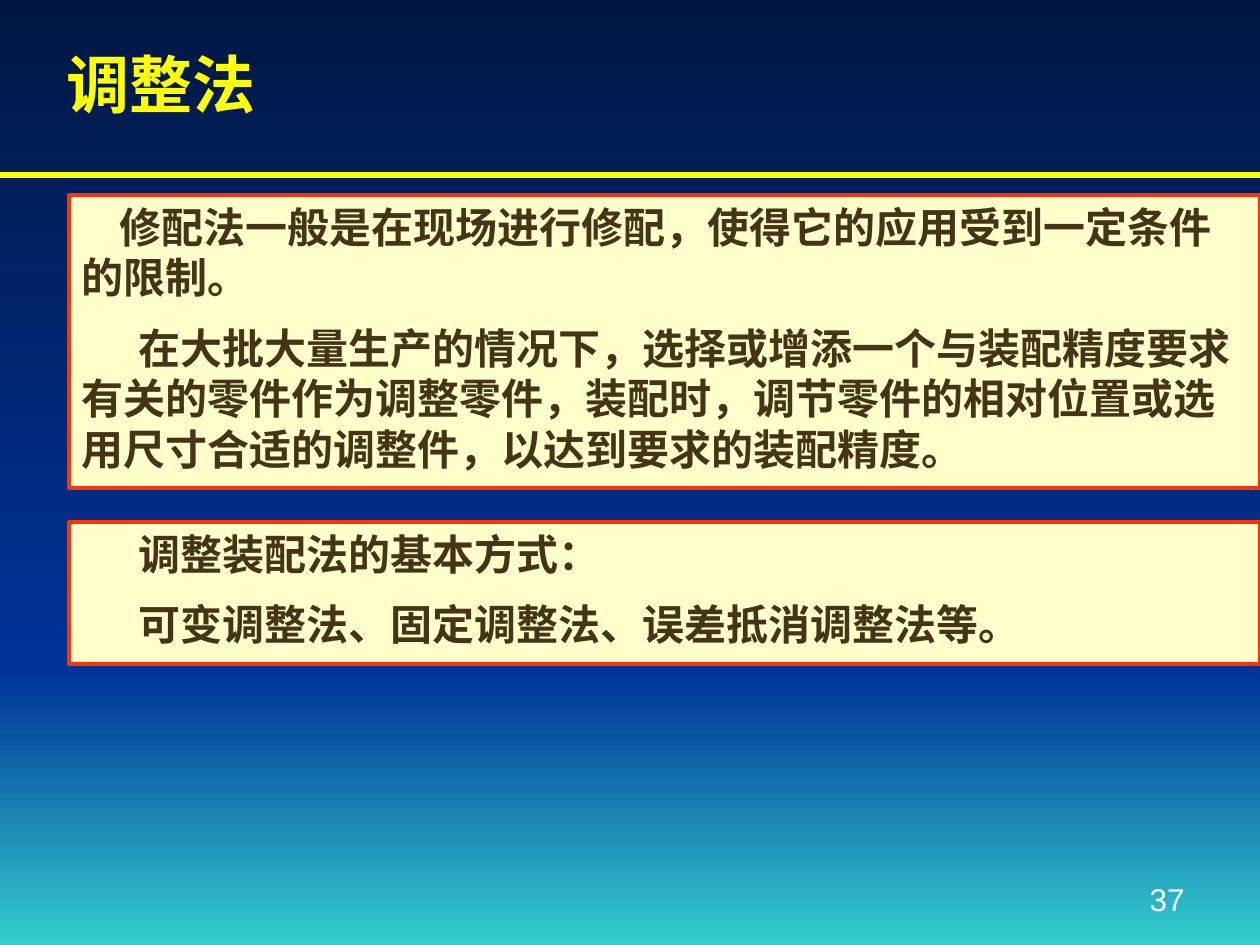
from pptx import Presentation
from pptx import util as u
from pptx.dml import color
from pptx.enum import shapes, text
from pptx.oxml import xmlchemy

COLOURS = {
    "night": "001744", "blue": "003399", "teal": "33CCCC",
    "yellow": "FFFF00", "white": "FFFFFF",
    "cream": "FFFFCC", "red": "FF3300", "brown": "463416",
}
PAGE_WIDTH, PAGE_HEIGHT = 720, 540
HORIZON = 384


def rgb(name):
    """Return the named colour."""
    return color.RGBColor.from_string(COLOURS[name])


def points(values):
    """Turn plain numbers into lengths."""
    return [u.Pt(value) for value in values]


def add_rectangle(page, bounds):
    """Add a rectangle without a shadow."""
    box = page.shapes.add_shape(shapes.MSO_SHAPE.RECTANGLE, *points(bounds))
    box.shadow.inherit = False
    return box


def write_paragraph(para, words, size, colour, bold=False, indent=0, before=0,
                    align=text.PP_ALIGN.LEFT):
    """Write one formatted paragraph."""
    para.alignment = align
    para.space_before = u.Pt(before)
    if indent:
        properties = para._p.get_or_add_pPr()
        properties.set("marL", "0")
        properties.set("indent", str(u.Pt(indent)))
    span = para.add_run()
    span.text = words
    span.font.name = "Arial"
    span.font.size = u.Pt(size)
    span.font.bold = bold
    span.font.color.rgb = rgb(colour)


def add_label(page, bounds, words, anchor, **style):
    """Add a one-paragraph text box."""
    frame = page.shapes.add_textbox(*points(bounds)).text_frame
    frame.word_wrap = True
    frame.vertical_anchor = anchor
    write_paragraph(frame.paragraphs[0], words, **style)


def add_band(page, bounds, top_colour, bottom_colour):
    """Add a background band shaded from top to bottom."""
    band = add_rectangle(page, bounds)
    band.line.fill.background()
    band.fill.gradient()
    band.fill.gradient_angle = 270
    for stop, name in zip(band.fill.gradient_stops, (top_colour, bottom_colour)):
        stop.color.rgb = rgb(name)
    for stop, position in zip(band.fill.gradient_stops, (0, 1)):
        stop.position = position


def add_rule(page, left, top, width):
    """Add the yellow line below the title."""
    rule = page.shapes.add_connector(
        shapes.MSO_CONNECTOR.STRAIGHT, *points((left, top, left + width, top)))
    rule.line.color.rgb = rgb("yellow")
    rule.line.width = u.Pt(3)
    properties = rule._element.spPr
    properties.append(xmlchemy.OxmlElement("a:effectLst"))


def add_panel(page, bounds, paragraphs):
    """Add a framed panel from (first-line indent, words) pairs."""
    panel = add_rectangle(page, bounds)
    panel.fill.solid()
    panel.fill.fore_color.rgb = rgb("cream")
    panel.line.color.rgb = rgb("red")
    panel.line.width = u.Pt(2.25)
    frame = panel.text_frame
    frame.word_wrap = True
    frame.vertical_anchor = text.MSO_ANCHOR.TOP
    for number, (indent, words) in enumerate(paragraphs):
        para = frame.add_paragraph() if number else frame.paragraphs[0]
        write_paragraph(para, words, size=24, colour="brown", bold=True,
                        indent=indent, before=11.5 if number else 0)


def build_page(deck):
    """Build the slide on the adjustment method."""
    page = deck.slides.add_slide(deck.slide_layouts[6])
    add_band(page, (0, HORIZON, PAGE_WIDTH, PAGE_HEIGHT - HORIZON), "blue", "teal")
    add_band(page, (0, 0, PAGE_WIDTH, HORIZON), "night", "blue")
    add_rule(page, 0, 100, PAGE_WIDTH)
    add_label(page, (516, 492, 168, 36), "37", text.MSO_ANCHOR.BOTTOM,
              size=18, colour="white", align=text.PP_ALIGN.RIGHT)
    add_label(page, (31, 15, 648, 65), "调整法", text.MSO_ANCHOR.MIDDLE,
              size=36, colour="yellow", bold=True)
    left = 39.6
    width = PAGE_WIDTH - left
    add_panel(page, (left, 111.6, width, 167.5), [
        (21.5, "修配法一般是在现场进行修配，使得它的应用受到一定条件的限制。"),
        (32.5, "在大批大量生产的情况下，选择或增添一个与装配精度要求有关的零件作为"
               "调整零件，装配时，调节零件的相对位置或选用尺寸合适的调整件，"
               "以达到要求的装配精度。"),
    ])
    add_panel(page, (left, 298.3, width, 81.4), [
        (32.5, "调整装配法的基本方式："),
        (32.5, "可变调整法、固定调整法、误差抵消调整法等。"),
    ])


deck = Presentation()
deck.slide_width, deck.slide_height = points((PAGE_WIDTH, PAGE_HEIGHT))
build_page(deck)
deck.save("out.pptx")
